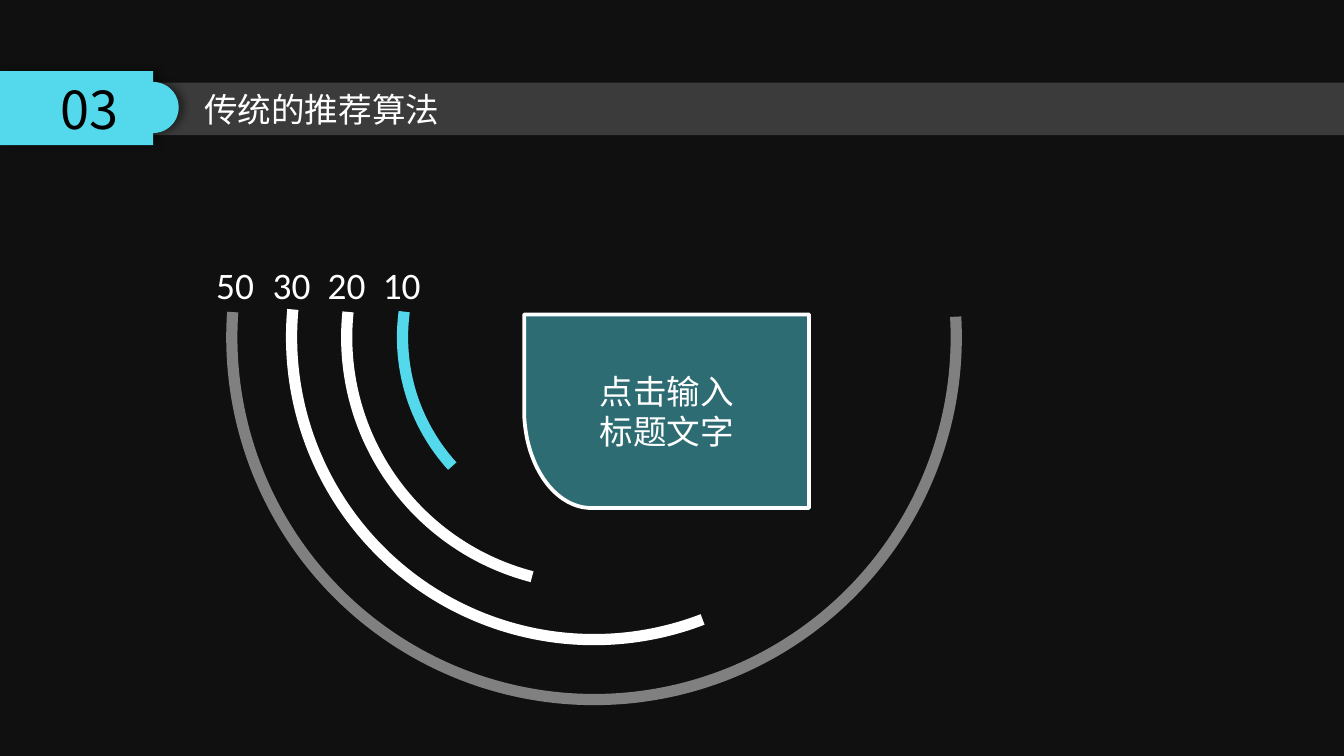
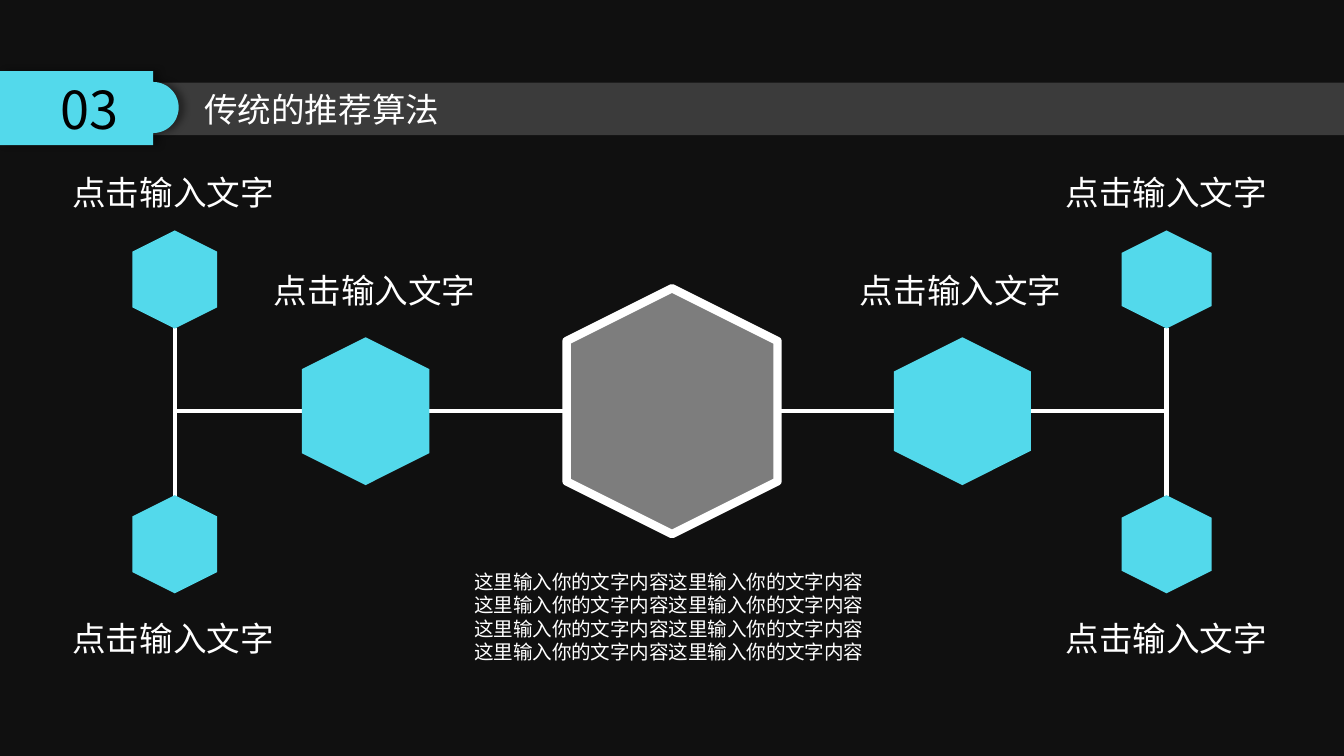
from dataclasses import dataclass
from math import cos, radians, sin

from lxml.etree import SubElement
from pptx import Presentation
from pptx.dml.color import RGBColor as RGB
from pptx.enum.shapes import MSO_CONNECTOR as CONNECTOR, MSO_SHAPE as SHAPE
from pptx.enum.text import MSO_ANCHOR as ANCHOR, MSO_AUTO_SIZE as AUTO_SIZE, PP_ALIGN as ALIGN
from pptx.oxml.ns import qn
from pptx.util import Inches, Pt


@dataclass(frozen=True)
class Theme:
    background: RGB = RGB(0x10, 0x10, 0x10)
    accent: RGB = RGB(0x53, 0xD9, 0xEB)
    white: RGB = RGB(0xFF, 0xFF, 0xFF)
    black: RGB = RGB(0, 0, 0)
    gray: RGB = RGB(0x80, 0x80, 0x80)
    band_alpha: int = 18
    panel_alpha: int = 46
    chinese: str = "Noto Sans CJK SC"
    section: str = "Noto Sans CJK JP"
    digits: str = "Calibri"
    section_size: float = 28
    value_size: float = 20
    heading_size: float = 18
    body_size: float = 10.5


THEME = Theme()
WIDTH = 10
HEIGHT = WIDTH * 9 / 16
LABEL = "点击输入文字"


def paint(shape, fill=None, alpha=100, line=None, weight=0):
    shape.shadow.inherit = False
    if fill is None:
        shape.fill.background()
    else:
        shape.fill.solid()
        shape.fill.fore_color.rgb = fill
        if alpha < 100:
            color = shape._element.spPr.find(f"{qn('a:solidFill')}/{qn('a:srgbClr')}")
            SubElement(color, qn("a:alpha"), val=str(alpha * 1000))
    if line is None:
        shape.line.fill.background()
    else:
        shape.line.color.rgb = line
        shape.line.width = Pt(weight)


def write(shape, text, size, font=THEME.chinese, color=THEME.white, align=ALIGN.LEFT):
    shape.text_frame.text = text
    for paragraph in shape.text_frame.paragraphs:
        paragraph.alignment = align
        for run in paragraph.runs:
            run.font.size = Pt(size)
            run.font.color.rgb = color
            run.font.name = font
            SubElement(run._r.get_or_add_rPr(), qn("a:ea"), typeface=font)


def add_label(slide, left, top, width, height, text, size, font=THEME.chinese):
    label = slide.shapes.add_textbox(Inches(left), Inches(top), Inches(width), Inches(height))
    write(label, text, size, font)
    label.text_frame.word_wrap = False
    label.text_frame.auto_size = AUTO_SIZE.SHAPE_TO_FIT_TEXT


def add_preset(slide, preset, center_x, center_y, width, height):
    return slide.shapes.add_shape(
        preset, Inches(center_x - width / 2), Inches(center_y - height / 2),
        Inches(width), Inches(height))


def curve(center_x, center_y, radius_x, radius_y, start, end, steps=36):
    angles = [radians(start + (end - start) * step / steps) for step in range(steps + 1)]
    return [(center_x + radius_x * cos(angle), center_y + radius_y * sin(angle))
            for angle in angles]


def add_outline(slide, points):
    start, *rest = [(Inches(x), Inches(y)) for x, y in points]
    builder = slide.shapes.build_freeform(*start)
    builder.add_line_segments(rest, close=True)
    outline = builder.convert_to_shape()
    outline.text_frame.vertical_anchor = ANCHOR.MIDDLE
    return outline


def add_badge_shadow(badge):
    effects = badge._element.spPr.find(qn("a:effectLst"))
    shadow = SubElement(effects, qn("a:outerShdw"), blurRad=str(Pt(4)), dist=str(Pt(3)),
                        dir="0", algn="l", rotWithShape="0")
    color = SubElement(shadow, qn("a:srgbClr"), val=str(THEME.black))
    SubElement(color, qn("a:alpha"), val="40000")


def add_section_slide(deck, number, title):
    slide = deck.slides.add_slide(deck.slide_layouts[6])
    slide.background.fill.solid()
    slide.background.fill.fore_color.rgb = THEME.background
    band = add_preset(slide, SHAPE.RECTANGLE, WIDTH / 2, 0.81, WIDTH, 0.39)
    paint(band, THEME.white, THEME.band_alpha)
    badge = add_outline(slide, [(0, 0.53), (1.14, 0.53),
                                *curve(1.14, 0.8, 0.19, 0.19, -90, 90),
                                (1.14, 1.08), (0, 1.08)])
    paint(badge, THEME.accent)
    add_badge_shadow(badge)
    write(badge, number, THEME.section_size, THEME.section, THEME.black, ALIGN.CENTER)
    add_label(slide, 1.42, 0.61, 1.97, 0.4, title, THEME.heading_size)
    return slide


def add_ring(slide, diameter, start, end, color):
    ring = add_preset(slide, SHAPE.ARC, 4.42, 2.51, diameter, diameter)
    for index, degrees in enumerate((start, end)):
        ring.adjustments[index] = degrees * 0.6
    paint(ring, line=color, weight=6)


def add_hexagon(slide, center_x, center_y, width, height, **style):
    hexagon = add_preset(slide, SHAPE.HEXAGON, center_x, center_y, height, width)
    hexagon.rotation = 90
    paint(hexagon, **style)


def add_link(slide, x1, y1, x2, y2):
    link = slide.shapes.add_connector(
        CONNECTOR.STRAIGHT, Inches(x1), Inches(y1), Inches(x2), Inches(y2))
    link.line.color.rgb = THEME.white
    link.line.width = Pt(2.25)
    SubElement(link._element.spPr, qn("a:effectLst"))


def build_rings(slide):
    rings = [("50", 1.51, 5.39, 356.73, 184, THEME.gray),
             ("30", 1.93, 4.5, 68.95, 185.27, THEME.white),
             ("20", 2.34, 3.68, 104.51, 185.89, THEME.white),
             ("10", 2.75, 2.85, 137.75, 187.7, THEME.accent)]
    for value, value_x, diameter, start, end, color in rings:
        add_ring(slide, diameter, start, end, color)
        add_label(slide, value_x, 1.9, 0.49, 0.44, value, THEME.value_size, THEME.digits)
    panel = add_outline(slide, [(3.9, 2.34), (6.02, 2.34), (6.02, 3.78),
                                *curve(4.4, 3.05, 0.5, 0.73, 90, 180)])
    paint(panel, THEME.accent, THEME.panel_alpha, THEME.white, 2)
    write(panel, "点击输入\n标题文字", THEME.heading_size, align=ALIGN.CENTER)


def build_branches(slide):
    axis, tip_rows, label_rows = 3.06, (2.08, 4.05), (1.23, 4.55)
    sides = [(4.21, 1.3, 0.63, 2.72, 0.95, 0.44, 1.94),
             (5.79, 8.68, 0.67, 7.16, 1.02, 7.83, 6.3)]
    for hub_x, stem_x, tip_width, node_x, node_width, tip_label_x, node_label_x in sides:
        add_link(slide, hub_x, axis, stem_x, axis)
        add_link(slide, stem_x, 2.44, stem_x, 3.69)
        add_hexagon(slide, node_x, axis, node_width, 1.1, fill=THEME.accent)
        add_label(slide, node_label_x, 1.96, 1.72, 0.4, LABEL, THEME.heading_size)
        for tip_y, label_y in zip(tip_rows, label_rows):
            add_hexagon(slide, stem_x, tip_y, tip_width, 0.73, fill=THEME.accent)
            add_label(slide, tip_label_x, label_y, 1.72, 0.4, LABEL, THEME.heading_size)
    add_hexagon(slide, WIDTH / 2, axis, 1.57, 1.83, fill=THEME.white,
                alpha=THEME.panel_alpha, line=THEME.white, weight=4.5)
    body = "\n".join(["这里输入你的文字内容" * 2] * 4)
    add_label(slide, 3.43, 4.19, 3.15, 0.98, body, THEME.body_size)


def main():
    deck = Presentation()
    deck.slide_width, deck.slide_height = Inches(WIDTH), Inches(HEIGHT)
    for build in (build_rings, build_branches):
        build(add_section_slide(deck, "03", "传统的推荐算法"))
    deck.save("out.pptx")


if __name__ == "__main__":
    main()
